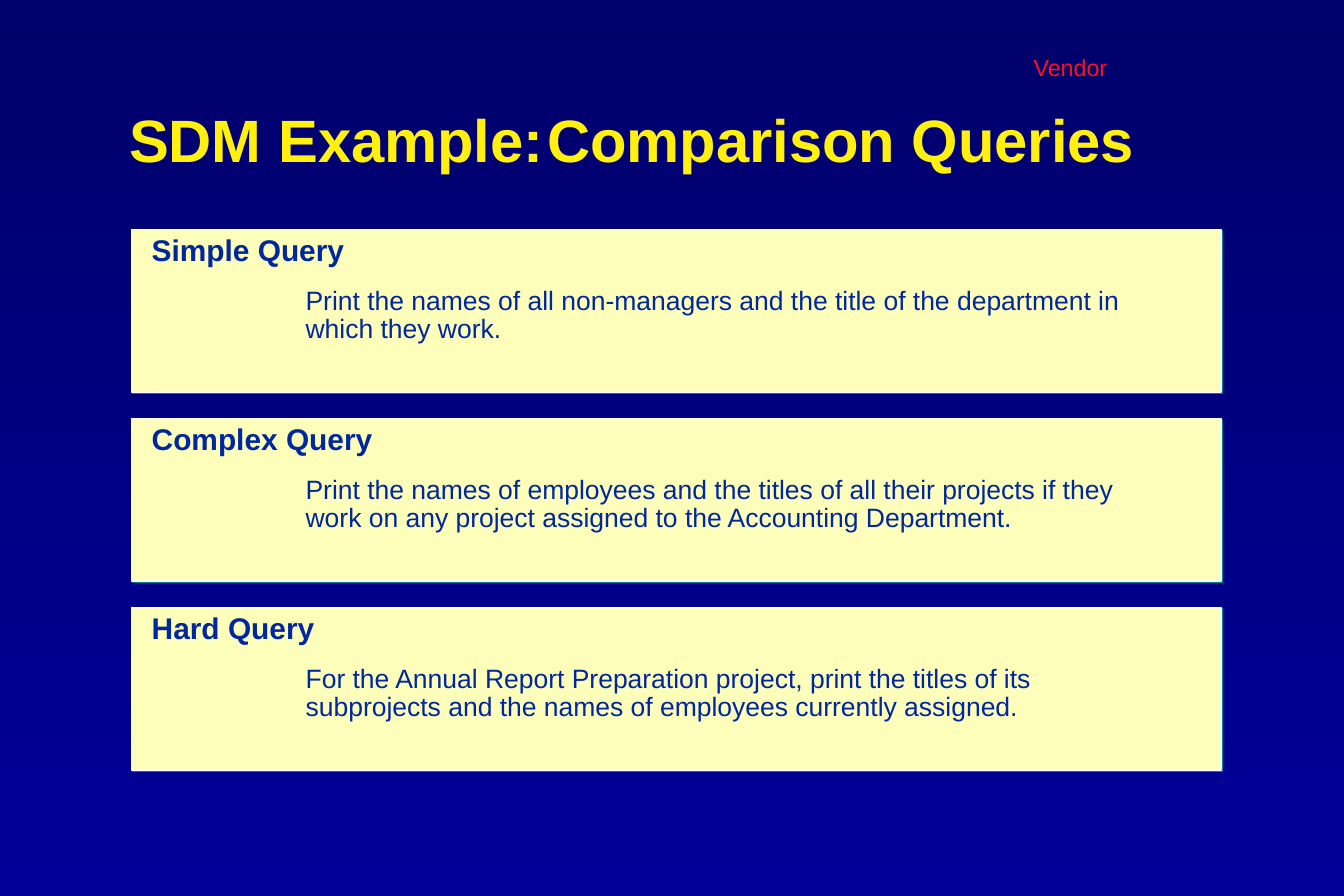
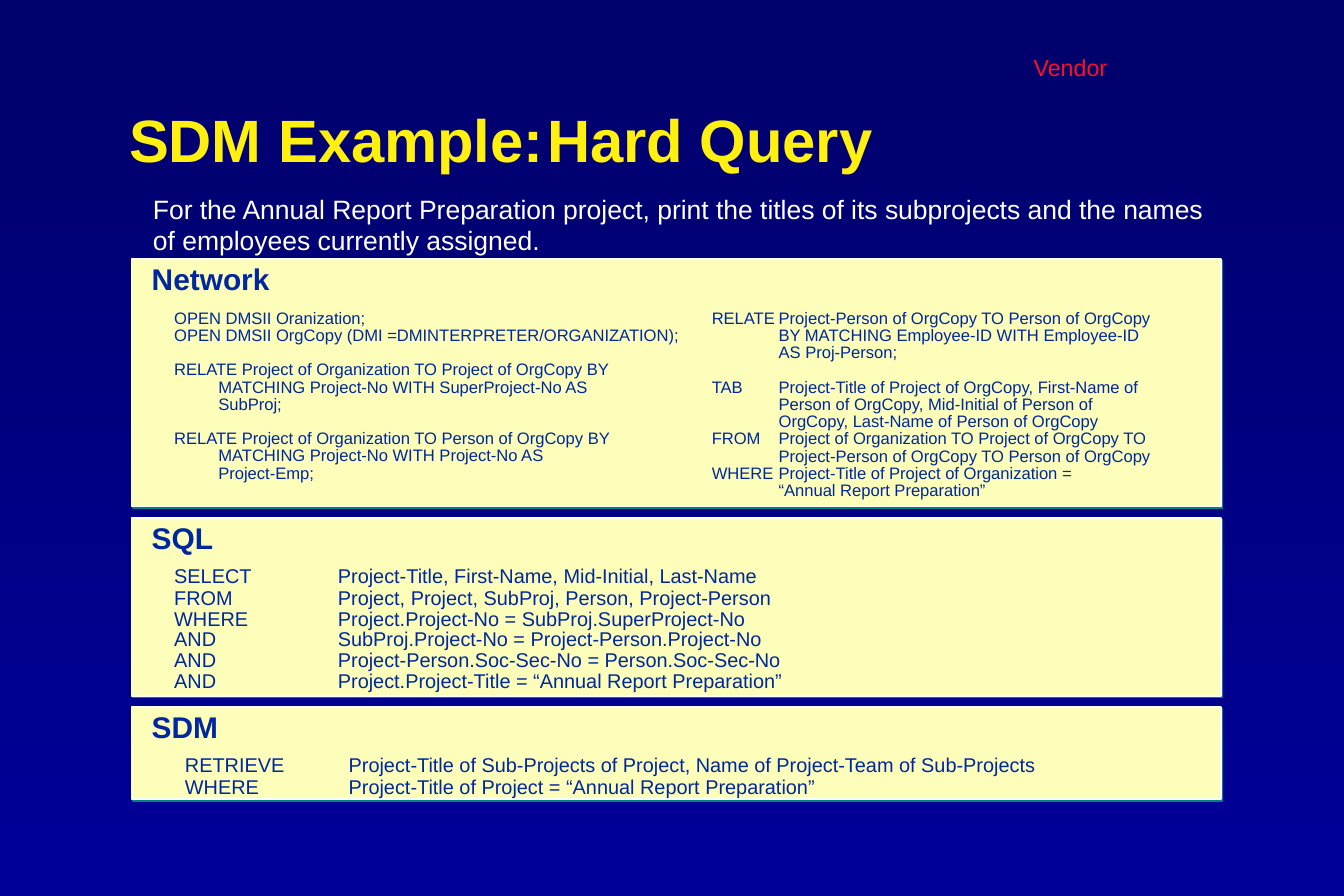
from lxml.etree import SubElement
from pptx import Presentation
from pptx.dml.color import RGBColor
from pptx.enum.shapes import MSO_SHAPE as Preset
from pptx.enum.text import MSO_ANCHOR as Anchor, MSO_AUTO_SIZE as AutoSize, PP_ALIGN as Align
from pptx.oxml.ns import qn
from pptx.util import Inches, Pt

COLUMNS, ROWS, CELL = 45, 30, Inches(0.25)
FONT = "Arial"
NAVY, YELLOW, RED, WHITE = "00279F", "FFF010", "FF1020", "FFFFFF"
CREAM, TEAL = "FCFEB9", "008080"
SKY = ("00006A", "000099")
PANEL_LEFT, PANEL_WIDTH = 4.4, 36.48
CODE_LEFT, CODE_WIDTH = 5.44, 33

QUERIES = [
    ("Simple Query", "Print the names of all non-managers and the title of the department in "
                     "which they work."),
    ("Complex Query", "Print the names of employees and the titles of all their projects if they "
                      "work on any project assigned to the Accounting Department."),
    ("Hard Query", "For the Annual Report Preparation project, print the titles of its "
                   "subprojects and the names of employees currently assigned."),
]
NETWORK_OPEN = [
    ["OPEN DMSII Oranization;",
     "OPEN DMSII OrgCopy (DMI =DMINTERPRETER/ORGANIZATION);"],
    ["RELATE Project of Organization TO Project of OrgCopy BY",
     "\tMATCHING Project-No WITH SuperProject-No AS",
     "\tSubProj;"],
    ["RELATE Project of Organization TO Person of OrgCopy BY",
     "\tMATCHING Project-No WITH Project-No AS",
     "\tProject-Emp;"],
]
NETWORK_TAB = [
    ["RELATE\tProject-Person of OrgCopy TO Person of OrgCopy",
     "\tBY MATCHING Employee-ID WITH Employee-ID",
     "\tAS Proj-Person;"],
    ["TAB\tProject-Title of Project of OrgCopy, First-Name of",
     "\tPerson of OrgCopy, Mid-Initial of Person of",
     "\tOrgCopy, Last-Name of Person of OrgCopy",
     "FROM\tProject of Organization TO Project of OrgCopy TO",
     "\tProject-Person of OrgCopy TO Person of OrgCopy",
     "WHERE\tProject-Title of Project of Organization =",
     "\t“Annual Report Preparation”"],
]
RELATIONAL = [[
    "SELECT\tProject-Title, First-Name, Mid-Initial, Last-Name",
    "FROM\tProject, Project, SubProj, Person, Project-Person",
    "WHERE\tProject.Project-No = SubProj.SuperProject-No",
    "AND\tSubProj.Project-No = Project-Person.Project-No",
    "AND\tProject-Person.Soc-Sec-No = Person.Soc-Sec-No",
    "AND\tProject.Project-Title = “Annual Report Preparation”",
]]
SEMANTIC = [[
    "RETRIEVE\tProject-Title of Sub-Projects of Project, Name of Project-Team of Sub-Projects",
    "WHERE\tProject-Title of Project = “Annual Report Preparation”",
]]


def color(hex_string):
    """Turn a hex string into a colour."""
    return RGBColor.from_string(hex_string)


def cells(*lengths):
    """Turn grid cells into lengths."""
    return [int(length * CELL) for length in lengths]


def set_tab(paragraph, position, hang):
    """Give a paragraph one tab stop and a hanging indent, in inches."""
    properties = paragraph._p.get_or_add_pPr()
    properties.set("marL", str(Inches(hang)))
    properties.set("indent", str(-Inches(hang)))
    stops = SubElement(properties, qn("a:tabLst"))
    SubElement(stops, qn("a:tab"), pos=str(Inches(position)), algn="l")


def write(frame, blocks, size=16, fill=NAVY, bold=False, align=Align.LEFT, spacing=0.9,
          first_spacing=None, before=0, gap=0, tab=None, hang=0, inset=0.1, anchor=Anchor.TOP):
    """Write blocks of lines into a text frame, with a gap between blocks."""
    frame.word_wrap, frame.auto_size, frame.vertical_anchor = True, AutoSize.NONE, anchor
    frame.margin_left = Inches(inset)
    frame.margin_right = Inches(min(inset, 0.1))
    paragraph = None
    for block in blocks:
        for number, line in enumerate(block):
            first = paragraph is None
            paragraph = frame.paragraphs[0] if first else frame.add_paragraph()
            paragraph.alignment = align
            paragraph.line_spacing = first_spacing if first and first_spacing else spacing
            paragraph.space_before = Pt(0 if first else before if number else gap)
            if tab is not None:
                set_tab(paragraph, tab, hang)
            run = paragraph.add_run()
            run.text = line
            run.font.name, run.font.size, run.font.bold = FONT, Pt(size), bold
            run.font.color.rgb = color(fill)


def add_text(shapes, place, blocks, **style):
    """Add a text box at a place on the grid."""
    box = shapes.add_textbox(*cells(*place))
    write(box.text_frame, blocks, **style)
    return box


def add_code(shapes, place, blocks, size, before, hang, **style):
    """Add lines of code whose continuations align at a hanging indent."""
    add_text(shapes, place, blocks, size=size, before=before, hang=hang, tab=0, spacing=0.5,
             **style)


def add_panel(shapes, top, height, heading):
    """Add a headed cream panel with a thin hard shadow."""
    panel = shapes.add_shape(Preset.RECTANGLE, *cells(PANEL_LEFT, top, PANEL_WIDTH, height))
    panel.fill.solid()
    panel.fill.fore_color.rgb = color(CREAM)
    panel.line.color.rgb = color(WHITE)
    panel.line.width = Pt(1)
    panel.shadow.inherit = False
    effects = panel.element.spPr.find(qn("a:effectLst"))
    shadow = SubElement(effects, qn("a:outerShdw"), blurRad="0", dist=str(Pt(1.4)),
                        dir=str(45 * 60000), algn="ctr", rotWithShape="0")
    SubElement(shadow, qn("a:srgbClr"), val=TEAL)
    write(panel.text_frame, [[heading]], size=18, bold=True, inset=0.17)


def style_master(presentation, layout):
    """Set the shared background and title place."""
    fill = presentation.slide_master.background.fill
    fill.gradient()
    fill.gradient_angle = 270
    for stop, shade in zip(fill.gradient_stops, SKY):
        stop.color.rgb = color(shade)
    title = layout.placeholders[0]
    title.left, title.top, title.width, title.height = cells(4.32, 3, 39.12, 3.6)


def add_slide(presentation, layout, topic):
    """Add a slide with its two-part title."""
    slide = presentation.slides.add_slide(layout)
    write(slide.shapes.title.text_frame, [[f"SDM Example:\t{topic}"]], size=36, fill=YELLOW,
          bold=True, tab=4, inset=0, anchor=Anchor.MIDDLE)
    return slide


def add_master_label(presentation, slide):
    """Put the vendor label on the slide master."""
    label = add_text(slide.shapes, (33, 1.68, 5.68, 1.24), [["Vendor"]], size=14, fill=RED,
                     align=Align.CENTER)
    presentation.slide_master.shapes.element.append(label.element)


def fill_comparison(slide):
    """Show the three queries as equal cards."""
    for number, (heading, request) in enumerate(QUERIES):
        top = 7.68 + number * 6.33
        card = slide.shapes.add_group_shape().shapes
        add_panel(card, top, 5.44, heading)
        add_text(card, (9.84, top + 1.74, 28.32, 2.32), [[request]])


def fill_hard_query(slide):
    """Show the hard query in three languages."""
    shapes = slide.shapes
    add_text(shapes, (4.44, 6.32, 36.72, 2.28), [[QUERIES[-1][1]]], fill=WHITE, spacing=0.98,
             inset=0.17)
    top, tops = 8.68, []
    for heading, height in (("Network", 8.28), ("SQL", 5.96), ("SDM", 3.08)):
        add_panel(shapes, top, height, heading)
        tops.append(top)
        top += height + 0.38
    network, relational, semantic = tops
    for left, width, blocks, hang in ((CODE_LEFT, 18.4, NETWORK_OPEN, 0.37),
                                      (23.44, 16, NETWORK_TAB, 0.56)):
        add_code(shapes, (left, network + 1.72, width, 6.52), blocks, 10, 4.4, hang, gap=14.6)
    for left, code_top, height, blocks in ((CODE_LEFT, relational + 1.42, 4.6, RELATIONAL),
                                           (5.8, semantic + 1.4, 1.8, SEMANTIC)):
        add_code(shapes, (left, code_top, CODE_WIDTH, height), blocks, 12, 5.2, 1.37,
                 first_spacing=0.9)


def main():
    """Build and save the presentation."""
    presentation = Presentation()
    presentation.slide_width, presentation.slide_height = cells(COLUMNS, ROWS)
    layout = presentation.slide_layouts.get_by_name("Title Only")
    style_master(presentation, layout)
    comparison = add_slide(presentation, layout, "Comparison Queries")
    add_master_label(presentation, comparison)
    fill_comparison(comparison)
    fill_hard_query(add_slide(presentation, layout, "Hard Query"))
    presentation.save("out.pptx")


if __name__ == "__main__":
    main()
